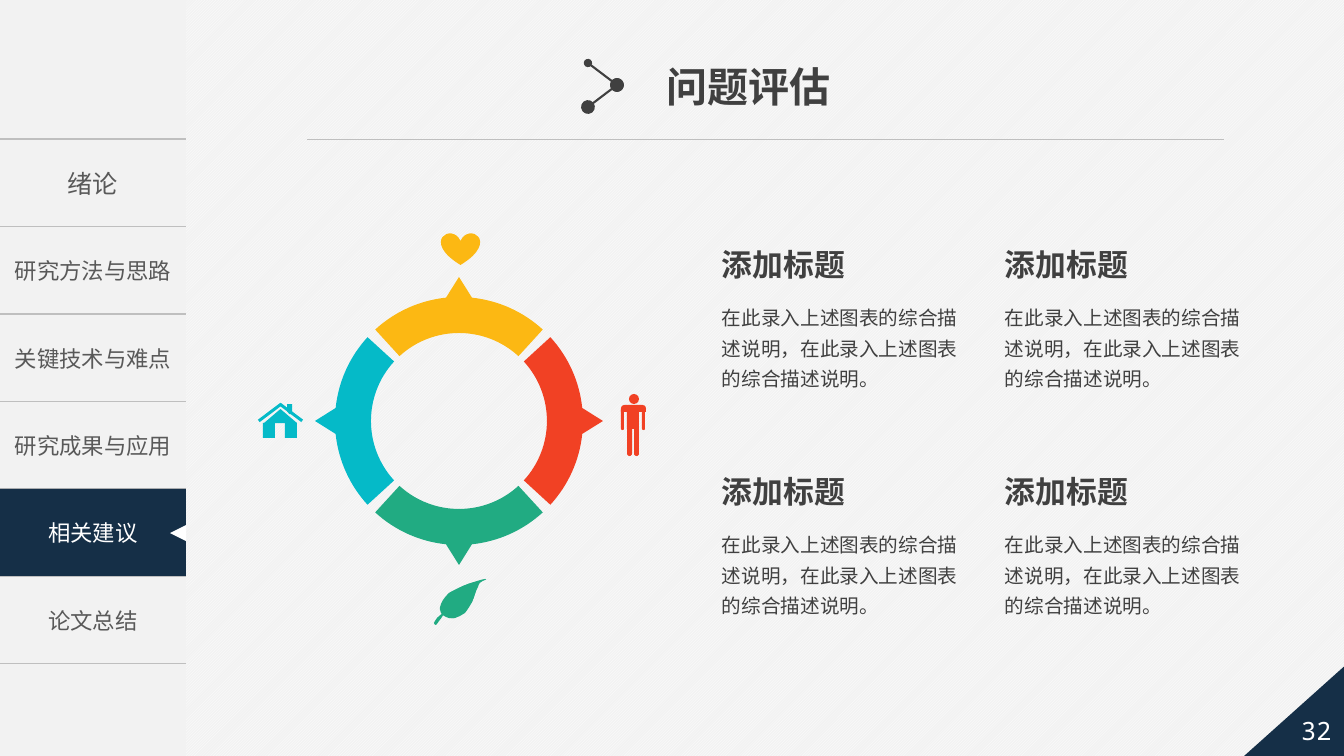
from math import cos, radians, sin, tan

from pptx import Presentation
from pptx.dml.color import RGBColor
from pptx.enum.dml import MSO_PATTERN
from pptx.enum.shapes import MSO_CONNECTOR, MSO_SHAPE as Preset
from pptx.enum.text import MSO_ANCHOR, MSO_AUTO_SIZE, PP_ALIGN
from pptx.oxml import parse_xml
from pptx.oxml.ns import nsdecls, qn
from pptx.util import Pt

PX = 9071  # EMU in one px

WHITE = RGBColor(0xFF, 0xFF, 0xFF)
PALE = RGBColor(0xF2, 0xF2, 0xF2)
RULE = RGBColor(0xBF, 0xBF, 0xBF)
GRAY = RGBColor(0x59, 0x59, 0x59)
DARK = RGBColor(0x40, 0x40, 0x40)
NAVY = RGBColor(0x15, 0x2F, 0x47)
YELLOW = RGBColor(0xFC, 0xB8, 0x13)
RED = RGBColor(0xF1, 0x41, 0x24)
GREEN = RGBColor(0x21, 0xAB, 0x82)
TEAL = RGBColor(0x05, 0xBA, 0xC8)
CJK = "Noto Sans CJK SC"


def paint(shape, color):
    """Give the shape a flat fill, or none, without line or shadow."""
    shape.shadow.inherit = False
    shape.line.fill.background()
    if color is None:
        shape.fill.background()
    else:
        shape.fill.solid()
        shape.fill.fore_color.rgb = color


def add_run(paragraph, text, size, color, bold=False, font=CJK):
    run = paragraph.add_run()
    run.text = text
    run.font.size = Pt(size)
    run.font.bold = bold
    run.font.color.rgb = color
    run.font.name = font
    east_asian = parse_xml(f'<a:ea {nsdecls("a")} typeface="{CJK}"/>')
    run.font._element.find(qn("a:latin")).addnext(east_asian)


presentation = Presentation()
presentation.slide_width = 1344 * PX
presentation.slide_height = 756 * PX
slide = presentation.slides.add_slide(presentation.slide_layouts[5])
shapes = slide.shapes

background = slide.background.fill
background.patterned()
background.pattern = MSO_PATTERN.LIGHT_UPWARD_DIAGONAL
background.fore_color.rgb = WHITE
background.back_color.rgb = PALE

# Title
title = shapes.title
title.left, title.top, title.width, title.height = 656 * PX, 56 * PX, 187 * PX, 60 * PX
title.text_frame.word_wrap = False
title.text_frame.auto_size = MSO_AUTO_SIZE.NONE
title.text_frame.vertical_anchor = MSO_ANCHOR.MIDDLE
title_paragraph = title.text_frame.paragraphs[0]
title_paragraph.alignment = PP_ALIGN.LEFT
add_run(title_paragraph, "问题评估", 29.3, DARK, bold=True, font="Arial")

# Rule under the title and the linked dots beside it
connectors = [
    ((307, 139), (1224, 139), RULE, 0.5, None),
    ((588, 63), (617, 85), DARK, 1.5, ("med", "lg")),
    ((617, 85), (588, 107), DARK, 1.5, ("lg", "lg")),
]
for start, end, color, width, dots in connectors:
    connector = shapes.add_connector(
        MSO_CONNECTOR.STRAIGHT, *(value * PX for value in start + end))
    connector.line.color.rgb = color
    connector.line.width = Pt(width)
    if dots:
        for tag, size in zip(("headEnd", "tailEnd"), dots):
            connector.line._get_or_add_ln().append(parse_xml(
                f'<a:{tag} {nsdecls("a")} type="oval" w="{size}" len="{size}"/>'))
    connector._element.spPr.append(parse_xml(f'<a:effectLst {nsdecls("a")}/>'))

# Chapter navigation
sidebar = shapes.add_shape(Preset.RECTANGLE, 0, 0, 186 * PX, 756 * PX)
paint(sidebar, PALE)

chapters = ["绪论", "研究方法与思路", "关键技术与难点", "研究成果与应用", "相关建议", "论文总结"]
navigation = shapes.add_table(len(chapters), 1, 0, 139 * PX, 186 * PX, 525 * PX).table
navigation.first_row = False
navigation.horz_banding = False
visible = f'<a:solidFill><a:srgbClr val="{RULE}"/></a:solidFill>'
borders = {"lnL": "<a:noFill/>", "lnR": "<a:noFill/>", "lnT": visible, "lnB": visible}
for row, chapter in enumerate(chapters):
    cell = navigation.cell(row, 0)
    cell.vertical_anchor = MSO_ANCHOR.MIDDLE
    cell.fill.background()
    paragraph = cell.text_frame.paragraphs[0]
    paragraph.alignment = PP_ALIGN.CENTER
    add_run(paragraph, chapter, 18 if row == 0 else 16, GRAY)
    for position, (tag, line_fill) in enumerate(borders.items()):
        cell._tc.get_or_add_tcPr().insert(position, parse_xml(
            f'<a:{tag} {nsdecls("a")} w="12700">{line_fill}</a:{tag}>'))

# Current chapter and page number: preset, box, fill, text, size, font
labels = [
    (Preset.RECTANGLE, (0, 489, 186, 87), NAVY, "相关建议", 16, CJK),
    (Preset.RIGHT_TRIANGLE, (1243, 663, 105, 94), NAVY, "", 18, CJK),
    (Preset.PENTAGON, (1255, 703, 109, 55), None, "32", 18, "Noto Sans Mono"),
]
for preset, box, color, text, size, font in labels:
    label = shapes.add_shape(preset, *(value * PX for value in box))
    paint(label, color)
    if preset != Preset.RECTANGLE:
        label._element.spPr.find(qn("a:xfrm")).set("flipH", "1")
    if text:
        label.text_frame.vertical_anchor = MSO_ANCHOR.MIDDLE
        label.text_frame.paragraphs[0].alignment = PP_ALIGN.CENTER
        add_run(label.text_frame.paragraphs[0], text, size, WHITE, font=font)

# Chapter marker, heart, person and house: preset, box, rotation, colour, adjustments
SQUARE, ROUNDED = Preset.RECTANGLE, Preset.ROUND_2_SAME_RECTANGLE
blocks = [
    (Preset.ISOSCELES_TRIANGLE, (170, 525, 16, 16), 270, WHITE, ()),
    (Preset.HEART, (441, 233, 39, 32), 0, YELLOW, ()),
    (Preset.OVAL, (629, 394, 10, 10), 0, RED, ()),
    (ROUNDED, (621, 405, 25, 7), 0, RED, (0.5, 0)),
    (SQUARE, (627, 412, 12, 17), 0, RED, ()),
    (ROUNDED, (627, 428, 5, 28), 180, RED, (0.5, 0)),
    (ROUNDED, (634, 428, 5, 28), 180, RED, (0.5, 0)),
    (ROUNDED, (621, 410, 3, 20), 180, RED, (0.5, 0)),
    (ROUNDED, (642, 410, 3, 20), 180, RED, (0.5, 0)),
    (SQUARE, (256, 411, 28, 3), 323, TEAL, ()),
    (SQUARE, (277, 411, 28, 3), 37, TEAL, ()),
    (Preset.ISOSCELES_TRIANGLE, (264, 409, 33, 14), 0, TEAL, ()),
    (SQUARE, (263, 423, 12, 15), 0, TEAL, ()),
    (SQUARE, (285, 423, 12, 15), 0, TEAL, ()),
    (Preset.SNIP_1_RECTANGLE, (287, 404, 5, 10), 180, TEAL, (0.5,)),
]
for preset, box, rotation, color, adjustments in blocks:
    block = shapes.add_shape(preset, *(value * PX for value in box))
    block.rotation = rotation
    for index, value in enumerate(adjustments):
        block.adjustments[index] = value
    paint(block, color)

# Outlines: a start point, then lines (x, y) or cubic curves (x1, y1, x2, y2, x, y)
outlines = []

# Ring of four pointed segments, clockwise from the right
CENTER_X, CENTER_Y = 459, 421
OUTER, INNER, TIP, HALF, BASE = 124, 88, 144, 42.5, 6
# Radius, angle at the start, angle at the end; equal angles make a line
edges = [(OUTER, -HALF, -HALF), (OUTER, -HALF, -BASE), (TIP, 0, 0), (OUTER, BASE, BASE),
         (OUTER, BASE, HALF), (INNER, HALF, HALF), (INNER, HALF, -HALF)]
for quarter, color in enumerate((RED, GREEN, TEAL, YELLOW)):
    segment = []
    for radius, first, last in edges:
        a, b = radians(first + 90 * quarter), radians(last + 90 * quarter)
        reach = 4 / 3 * tan((b - a) / 4)
        arc = (cos(a) - reach * sin(a), sin(a) + reach * cos(a),
               cos(b) + reach * sin(b), sin(b) - reach * cos(b), cos(b), sin(b))
        place = [(CENTER_X, CENTER_Y)[i % 2] + radius * value for i, value in enumerate(arc)]
        segment.append(place[4:] if first == last else place)
    outlines.append((color, segment))

# Leaf, stem, lit half and vein
outlines += [(GREEN, outline) for outline in (
    [(441, 613), (440, 610, 439, 609, 441, 604), (443, 599, 446, 596, 449, 593),
     (452, 591, 462, 586, 468, 584), (474, 582, 483, 579, 485, 579),
     (487, 579, 482, 581, 480, 582), (479, 583, 479, 583, 477, 587),
     (476, 590, 474, 598, 472, 602), (469, 606, 467, 609, 464, 613),
     (460, 615, 457, 617, 454, 618), (451, 619, 448, 618, 446, 617),
     (444, 616, 442, 615, 441, 613)],
    [(444, 613), (444, 614, 441, 619, 439, 621), (437, 623, 437, 625, 436, 625),
     (435, 625, 434, 624, 434, 623), (434, 622, 436, 620, 437, 618),
     (439, 616, 443, 613, 444, 612), (445, 612, 445, 611, 444, 613)],
    [(486, 579), (488, 579, 482, 581, 481, 582), (480, 583, 479, 583, 478, 587),
     (476, 590, 474, 598, 472, 602), (470, 606, 468, 609, 465, 613), (460, 616),
     (455, 618), (451, 618), (460, 588), (463, 586), (465, 585, 467, 585, 468, 584),
     (474, 582, 484, 580, 486, 579)],
    [(443, 612), (445, 610, 449, 604, 453, 601), (456, 598, 462, 594, 462, 594),
     (463, 594, 458, 598, 456, 600), (454, 603, 450, 606, 448, 609),
     (446, 611, 445, 613, 444, 614), (443, 614, 442, 614, 443, 612)],
)]
for color, outline in outlines:
    scaled = [[round(value * PX) for value in step] for step in outline]
    builder = shapes.build_freeform(*scaled[0])
    builder.add_line_segments([step[-2:] for step in scaled[1:]], close=True)
    shape = builder.convert_to_shape()
    paint(shape, color)
    lines = list(shape._element.iter(qn("a:lnTo")))
    for line, step in zip(lines, scaled[1:]):
        if len(step) == 6:
            points = "".join(f'<a:pt x="{x - shape.left}" y="{y - shape.top}"/>'
                             for x, y in zip(step[::2], step[1::2]))
            curve = parse_xml(f'<a:cubicBezTo {nsdecls("a")}>{points}</a:cubicBezTo>')
            line.getparent().replace(line, curve)

# Four descriptions in a two-by-two grid
description = "在此录入上述图表的综合描述说明，在此录入上述图表的综合描述说明。"
for top in (241, 468):
    for left in (712, 995):
        heading = shapes.add_textbox(left * PX, top * PX, 145 * PX, 47 * PX).text_frame
        heading.word_wrap = False
        add_run(heading.paragraphs[0], "添加标题", 22, DARK, bold=True)
        body = shapes.add_textbox(left * PX, (top + 53) * PX, 266 * PX, 103 * PX).text_frame
        body.word_wrap = True
        body.paragraphs[0].line_spacing = 1.3
        add_run(body.paragraphs[0], description, 14, DARK)

presentation.save("out.pptx")
